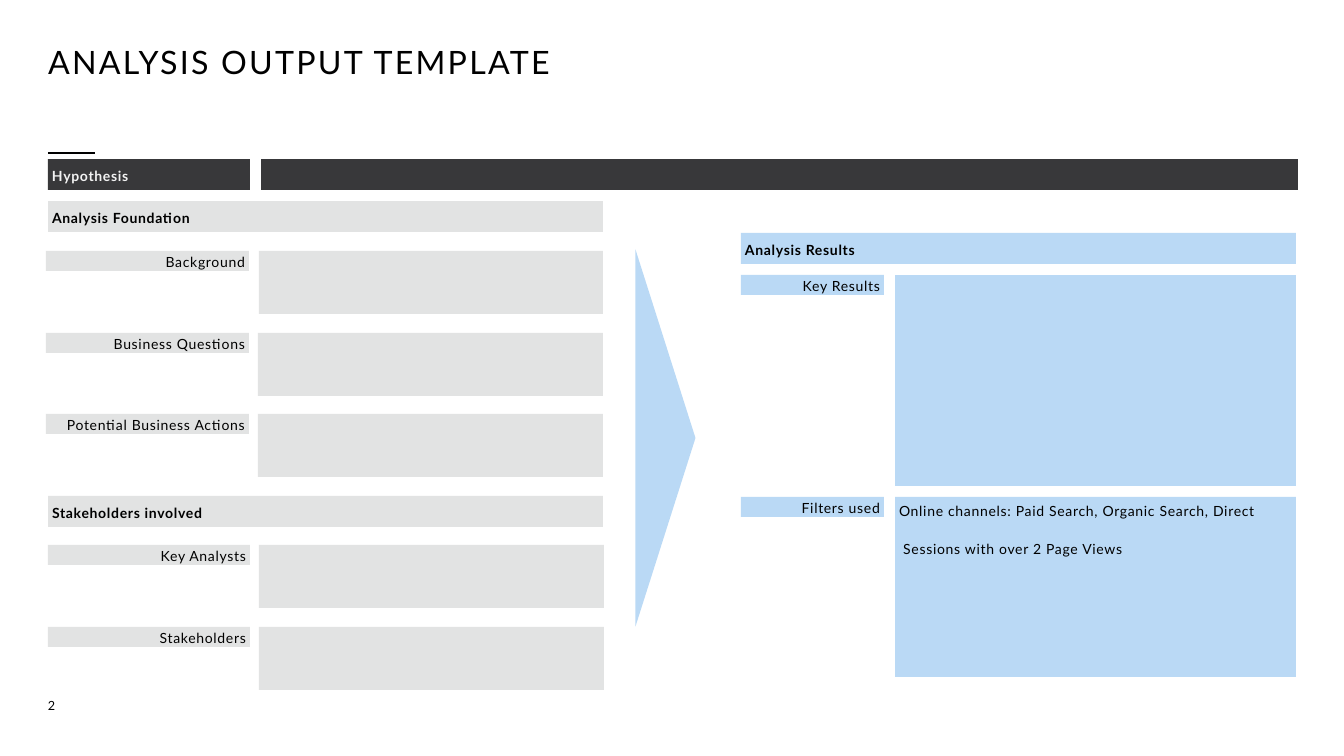
from lxml import etree
from pptx import Presentation
from pptx.dml.color import RGBColor
from pptx.enum.shapes import MSO_CONNECTOR, MSO_SHAPE
from pptx.enum.text import MSO_ANCHOR, MSO_AUTO_SIZE, PP_ALIGN
from pptx.oxml.ns import qn
from pptx.util import Pt

PIXEL = 9144000 / 1008
COLORS = {"black": "000000", "white": "F2F2F2", "dark": "38383A",
          "gray": "E2E3E3", "blue": "BAD9F5"}


def write(shape, lines, size=10, color="black", bold=False, align=PP_ALIGN.LEFT,
          anchor=MSO_ANCHOR.MIDDLE, inset=4, spacing=1.11, tracking=50, gap=0):
    """Put lines of text into a shape, one paragraph each."""
    frame = shape.text_frame
    frame.word_wrap = True
    frame.auto_size = MSO_AUTO_SIZE.NONE
    frame.vertical_anchor = anchor
    frame.margin_left = frame.margin_right = round(inset * PIXEL)
    frame.margin_top = frame.margin_bottom = round(inset * PIXEL)
    for index, line in enumerate(lines):
        paragraph = frame.add_paragraph() if index else frame.paragraphs[0]
        paragraph.alignment = align
        paragraph.line_spacing = spacing
        paragraph.space_before = Pt(gap if index else 0)
        run = paragraph.add_run()
        run.text = line
        run.font.name = "Lato"
        run.font.size = Pt(size)
        run.font.bold = bold
        run.font.color.rgb = RGBColor.from_string(COLORS[color])
        run.font._element.set("spc", str(tracking))


def add_block(left, top, width, height, fill, preset=MSO_SHAPE.RECTANGLE):
    """Add a plain filled shape, placed in pixels."""
    shape = slide.shapes.add_shape(
        preset, *(round(value * PIXEL) for value in (left, top, width, height)))
    shape.shadow.inherit = False
    shape.fill.solid()
    shape.fill.fore_color.rgb = RGBColor.from_string(COLORS[fill])
    shape.line.fill.background()
    return shape


presentation = Presentation()
presentation.slide_width = round(1344 * PIXEL)
presentation.slide_height = round(756 * PIXEL)
slide = presentation.slides.add_slide(presentation.slide_layouts[5])

# Title, accent line and page number
title = slide.shapes.title
title.left, title.top, title.width, title.height = (
    round(value * PIXEL) for value in (48, 18, 1200, 63))
write(title, ["ANALYSIS OUTPUT TEMPLATE"], size=23, anchor=MSO_ANCHOR.BOTTOM,
      inset=0, spacing=0.83, tracking=160)

accent = slide.shapes.add_connector(
    MSO_CONNECTOR.STRAIGHT, *(round(value * PIXEL) for value in (48, 153, 95, 153)))
accent.line.color.rgb = RGBColor.from_string(COLORS["black"])
accent.line.width = Pt(1.5)
etree.SubElement(accent._element.spPr, qn("a:effectLst"))

page_number = slide.shapes.add_textbox(
    *(round(value * PIXEL) for value in (48, 698, 47, 58)))
write(page_number, ["2"], size=9, anchor=MSO_ANCHOR.TOP, inset=0, spacing=1, tracking=60)

# Section headings
headings = [
    ("Hypothesis", 48, 159, 202, "dark", "white"),
    ("Analysis Foundation", 48, 201, 555, "gray", "black"),
    ("Stakeholders involved", 48, 496, 555, "gray", "black"),
    ("Analysis Results", 741, 233, 555, "blue", "black"),
]
for text, left, top, width, fill, color in headings:
    write(add_block(left, top, width, 31, fill), [text], color=color, bold=True)
add_block(261, 159, 1037, 31, "dark")

# Labelled fields: label left, label width, field left, field width, field height
fields = [
    ("Background", 251, 46, 203, 259, 344, 63, "gray"),
    ("Business Questions", 333, 46, 203, 258, 345, 63, "gray"),
    ("Potential Business Actions", 414, 46, 203, 258, 345, 63, "gray"),
    ("Key Analysts", 545, 48, 202, 259, 345, 63, "gray"),
    ("Stakeholders", 627, 48, 202, 259, 345, 63, "gray"),
    ("Key Results", 275, 741, 143, 895, 401, 211, "blue"),
    ("Filters used", 497, 741, 143, 895, 401, 180, "blue"),
]
for text, top, label_left, label_width, left, width, height, fill in fields:
    label = add_block(label_left, top, label_width, 20, fill)
    write(label, [text], align=PP_ALIGN.RIGHT)
    field = add_block(left, top, width, height, fill)

# The last field holds the filters
write(field, ["Online channels: Paid Search, Organic Search, Direct",
              " Sessions with over 2 Page Views"], anchor=MSO_ANCHOR.TOP, gap=13.5)

# Arrow from foundation to results
arrow = add_block(477, 408, 377, 60, "blue", MSO_SHAPE.ISOSCELES_TRIANGLE)
arrow.rotation = 90

presentation.save("out.pptx")
